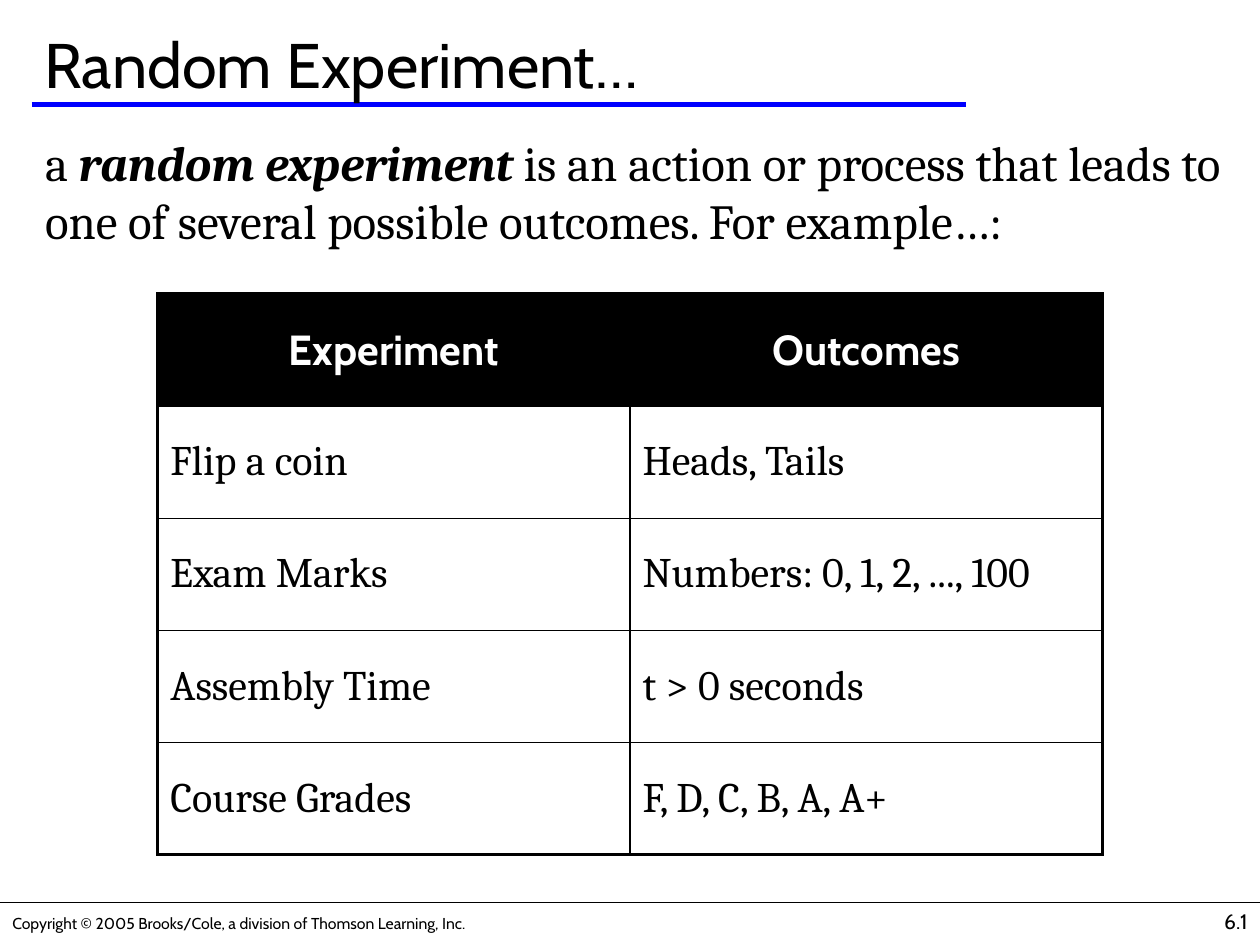
from dataclasses import dataclass

from lxml.etree import SubElement
from pptx import Presentation
from pptx.dml.color import RGBColor
from pptx.enum.shapes import MSO_CONNECTOR
from pptx.enum.text import MSO_ANCHOR, PP_ALIGN
from pptx.oxml.ns import qn
from pptx.util import Cm, Pt

TITLE = "Random Experiment…"
DEFINITION = [
    ("a ", False),
    ("random experiment", True),
    (" is an action or process that leads to one of several possible outcomes. For example…:", False),
]
EXAMPLES = [
    ("Experiment", "Outcomes"),
    ("Flip a coin", "Heads, Tails"),
    ("Exam Marks", "Numbers: 0, 1, 2, ..., 100"),
    ("Assembly Time", "t > 0 seconds"),
    ("Course Grades", "F, D, C, B, A, A+"),
]
COPYRIGHT = "Copyright © 2005 Brooks/Cole, a division of Thomson Learning, Inc."
PAGE = "6.1"


@dataclass(frozen=True)
class Theme:
    ink: str = "000000"
    paper: str = "FFFFFF"
    accent: str = "0000FF"
    sans: str = "Cabin"
    serif: str = "Cambria"
    title: int = 36
    body: int = 28
    cell: int = 24
    page: int = 12
    footer: int = 9
    outer_border: float = 2.25
    inner_border: float = 1


THEME = Theme()


def write(frame, text, *, size, font=THEME.sans, color=THEME.ink, bold=False,
          align=PP_ALIGN.LEFT, anchor=MSO_ANCHOR.TOP):
    frame.word_wrap = True
    frame.vertical_anchor = anchor
    paragraph = frame.paragraphs[0]
    paragraph.alignment = align
    for words, emphasis in [(text, False)] if isinstance(text, str) else text:
        run = paragraph.add_run()
        run.text = words
        run.font.name = font
        run.font.size = Pt(size)
        run.font.bold = bold or emphasis
        run.font.italic = emphasis
        run.font.color.rgb = RGBColor.from_string(color)


def add_text(slide, place, text, **style):
    box = slide.shapes.add_textbox(*(Cm(length) for length in place))
    write(box.text_frame, text, **style)


def add_rule(slide, left, right, top, color, width):
    rule = slide.shapes.add_connector(
        MSO_CONNECTOR.STRAIGHT, Cm(left), Cm(top), Cm(right), Cm(top))
    rule.line.color.rgb = RGBColor.from_string(color)
    rule.line.width = Pt(width)
    SubElement(rule._element.spPr, qn("a:effectLst"))


def set_borders(cell, outer_sides):
    properties = cell._tc.get_or_add_tcPr()
    for position, side in enumerate(("lnL", "lnR", "lnT", "lnB")):
        width = THEME.outer_border if side in outer_sides else THEME.inner_border
        border = properties.makeelement(qn(f"a:{side}"), {"w": str(Pt(width))})
        properties.insert(position, border)
        fill = SubElement(border, qn("a:solidFill"))
        SubElement(fill, qn("a:srgbClr"), val=THEME.ink)


def add_examples(slide, left, top, column_width, row_height):
    rows, columns = len(EXAMPLES), len(EXAMPLES[0])
    table = slide.shapes.add_table(
        rows, columns, Cm(left), Cm(top),
        Cm(column_width * columns), Cm(row_height * rows)).table
    for row, entries in enumerate(EXAMPLES):
        table.rows[row].height = Cm(row_height)
        heading = row == 0
        for column, entry in enumerate(entries):
            cell = table.cell(row, column)
            cell.fill.solid()
            cell.fill.fore_color.rgb = RGBColor.from_string(
                THEME.ink if heading else THEME.paper)
            cell.vertical_anchor = MSO_ANCHOR.MIDDLE
            write(cell.text_frame, entry, size=THEME.cell, bold=heading,
                  font=THEME.sans if heading else THEME.serif,
                  color=THEME.paper if heading else THEME.ink,
                  align=PP_ALIGN.CENTER if heading else PP_ALIGN.LEFT,
                  anchor=MSO_ANCHOR.MIDDLE)
            edges = {"lnL": column == 0, "lnR": column == columns - 1,
                     "lnT": heading, "lnB": row == rows - 1}
            set_borders(cell, [side for side, outer in edges.items() if outer])


def main():
    deck = Presentation()
    deck.slide_width, deck.slide_height = Cm(25.4), Cm(19.05)
    slide = deck.slides.add_slide(deck.slide_layouts[6])
    add_text(slide, (0, 18.29, 12.14, 0.64), COPYRIGHT,
             size=THEME.footer, anchor=MSO_ANCHOR.MIDDLE)
    add_rule(slide, 0, 25.4, 18.2, THEME.ink, 0.75)
    add_rule(slide, 0.64, 19.47, 2.11, THEME.accent, 2.5)
    add_text(slide, (20.11, 18.2, 5.29, 0.85), PAGE,
             size=THEME.page, align=PP_ALIGN.RIGHT)
    add_text(slide, (0.64, 0.42, 24.34, 1.7), TITLE,
             size=THEME.title, anchor=MSO_ANCHOR.MIDDLE)
    add_text(slide, (0.66, 2.54, 24.74, 15.24), DEFINITION,
             size=THEME.body, font=THEME.serif)
    add_examples(slide, left=3.18, top=5.93, column_width=9.52, row_height=2.26)
    deck.save("out.pptx")


if __name__ == "__main__":
    main()
